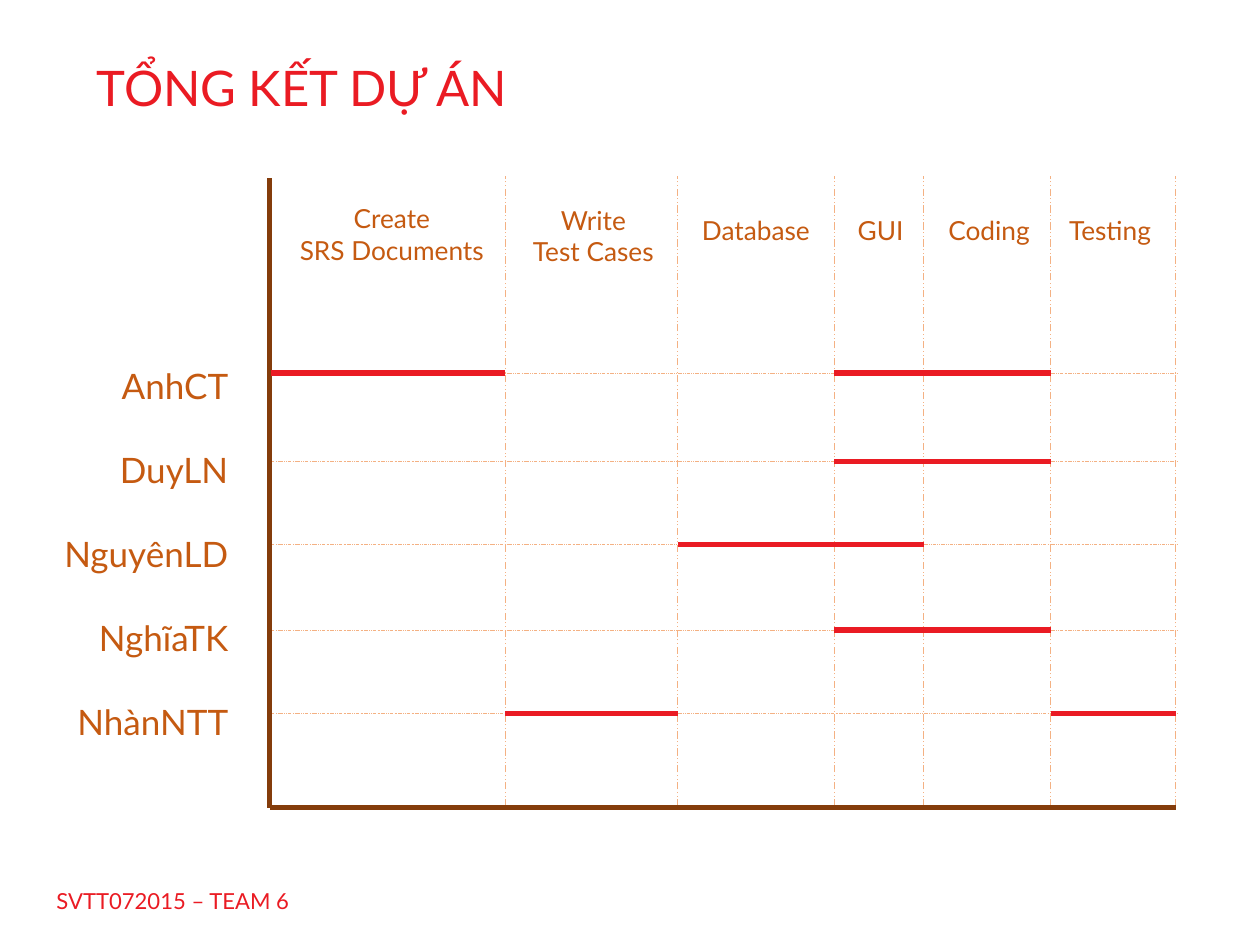
from dataclasses import dataclass

from lxml import etree
from pptx import Presentation
from pptx.dml.color import RGBColor
from pptx.enum.dml import MSO_LINE
from pptx.enum.shapes import MSO_CONNECTOR
from pptx.enum.text import MSO_ANCHOR, PP_ALIGN
from pptx.oxml.ns import qn
from pptx.util import Inches, Pt

STRAIGHT = MSO_CONNECTOR.STRAIGHT
DASH = MSO_LINE.DASH_DOT_DOT
TOP, MIDDLE = MSO_ANCHOR.TOP, MSO_ANCHOR.MIDDLE
LEFT, CENTER, RIGHT = PP_ALIGN.LEFT, PP_ALIGN.CENTER, PP_ALIGN.RIGHT

RED = RGBColor(0xEA, 0x1B, 0x23)
BROWN = RGBColor(0x84, 0x3C, 0x0B)
ORANGE = RGBColor(0xC5, 0x5A, 0x11)
PEACH = RGBColor(0xF4, 0xB1, 0x83)
FONT = "Lato"

# Chart grid in inches: column edges, one row line per member
COLUMN_EDGES = [2.15, 4.01, 5.38, 6.62, 7.33, 8.34, 9.33]
ROW_LINES = [2.96, 3.66, 4.32, 5.0, 5.66]
GRID_TOP, GRID_BOTTOM = 1.4, 6.4
AXIS_TOP, AXIS_BOTTOM, AXIS_LEFT = 1.41, 6.41, 2.14
ROW_OVERHANG = 0.02


@dataclass(frozen=True)
class Box:
    left: float
    top: float
    width: float
    height: float


@dataclass(frozen=True)
class Phase:
    lines: tuple[str, ...]
    center: float
    top: float = 1.65
    width: float = 1.36


@dataclass(frozen=True)
class Task:
    row: int
    first_column: int
    end_column: int


MEMBERS = ("AnhCT", "DuyLN", "NguyênLD", "NghĩaTK", "NhànNTT")
PHASES = [
    Phase(("Create", "SRS Documents"), 3.11, top=1.56, width=1.75),
    Phase(("Write", "Test Cases"), 4.71, top=1.57),
    Phase(("Database",), 6.0),
    Phase(("GUI",), 6.99),
    Phase(("Coding",), 7.85),
    Phase(("Testing",), 8.81),
]
TASKS = [
    Task(0, 0, 1),
    Task(4, 1, 2),
    Task(2, 2, 4),
    Task(1, 3, 5),
    Task(0, 3, 5),
    Task(3, 3, 5),
    Task(4, 5, 6),
]


def add_line(slide, start: tuple[float, float], end: tuple[float, float],
             color: RGBColor, width: float, dashed: bool = False) -> None:
    points = [Inches(value) for value in (*start, *end)]
    connector = slide.shapes.add_connector(STRAIGHT, *points)
    connector.line.color.rgb = color
    connector.line.width = Pt(width)
    if dashed:
        connector.line.dash_style = DASH
    etree.SubElement(connector._element.spPr, qn("a:effectLst"))


def add_text(slide, box: Box, lines: tuple[str, ...], size: float, color: RGBColor,
             alignment=LEFT, anchor=TOP, spacing: float = 1.0) -> None:
    shape = slide.shapes.add_textbox(
        Inches(box.left), Inches(box.top), Inches(box.width), Inches(box.height))
    frame = shape.text_frame
    frame.word_wrap = True
    frame.vertical_anchor = anchor
    frame.text = "\n".join(lines)
    for paragraph in frame.paragraphs:
        paragraph.alignment = alignment
        paragraph.line_spacing = spacing
        paragraph.font.name = FONT
        paragraph.font.size = Pt(size)
        paragraph.font.color.rgb = color


def main() -> None:
    presentation = Presentation()
    presentation.slide_width = Inches(10)
    presentation.slide_height = Inches(7.5)
    slide = presentation.slides.add_slide(presentation.slide_layouts[6])
    grid_left, grid_right = COLUMN_EDGES[0], COLUMN_EDGES[-1]

    # Dashed grid
    for x in COLUMN_EDGES[1:]:
        add_line(slide, (x, GRID_BOTTOM), (x, GRID_TOP), PEACH, 0.5, dashed=True)
    for y in ROW_LINES:
        add_line(slide, (grid_left, y), (grid_right + ROW_OVERHANG, y),
                 PEACH, 0.25, dashed=True)

    # Title and footer
    add_text(slide, Box(0.67, 0.38, 8.62, 0.68), ("TỔNG KẾT DỰ ÁN",),
             28, RED, anchor=MIDDLE, spacing=0.9)
    add_text(slide, Box(0.35, 6.97, 2.16, 0.39), ("SVTT072015 – TEAM 6",),
             12.6, RED, anchor=MIDDLE, spacing=0.9)

    # Axes
    add_line(slide, (AXIS_LEFT, AXIS_BOTTOM), (AXIS_LEFT, AXIS_TOP), BROWN, 3)
    add_line(slide, (AXIS_LEFT, AXIS_BOTTOM), (grid_right, AXIS_BOTTOM), BROWN, 3)

    # Member names and phase headings
    add_text(slide, Box(0.26, 2.51, 1.65, 4.08), MEMBERS, 20, ORANGE,
             alignment=RIGHT, spacing=2.0)
    for phase in PHASES:
        box = Box(phase.center - phase.width / 2, phase.top, phase.width, 0.63)
        add_text(slide, box, phase.lines, 15, ORANGE, alignment=CENTER)

    # Task bars
    for task in TASKS:
        y = ROW_LINES[task.row]
        add_line(slide, (COLUMN_EDGES[task.first_column], y),
                 (COLUMN_EDGES[task.end_column], y), RED, 3)

    presentation.save("out.pptx")


if __name__ == "__main__":
    main()
